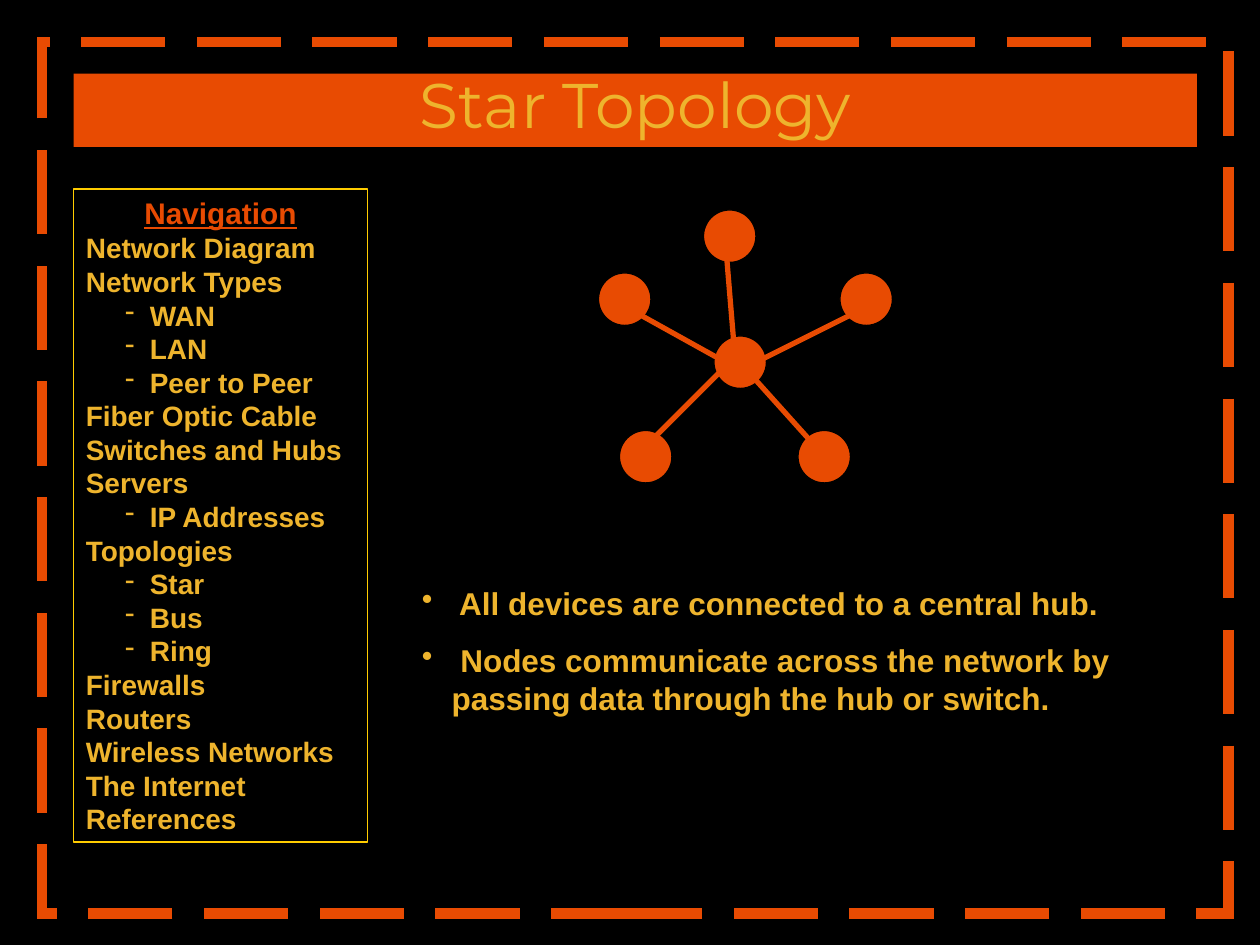
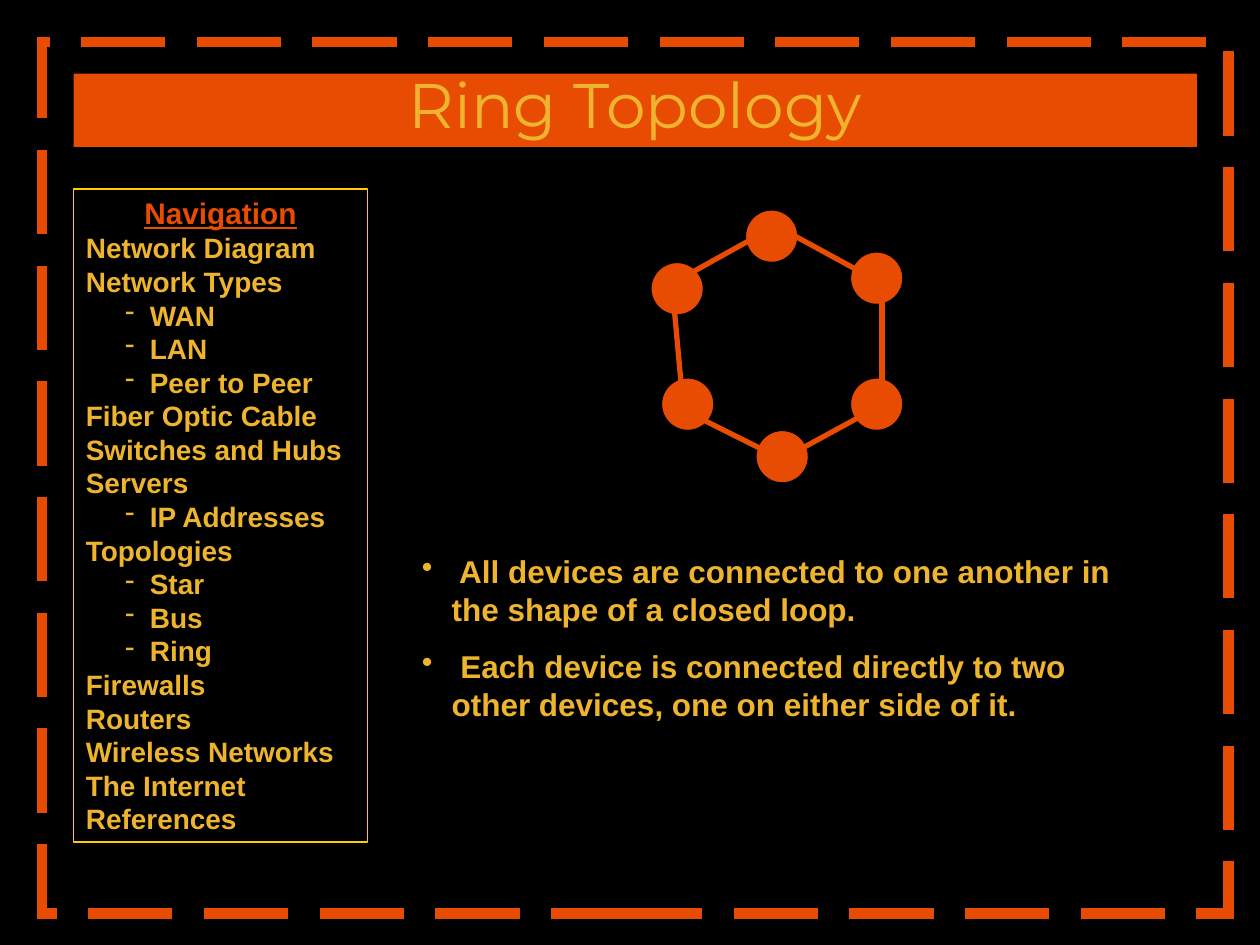
"""Build the star and ring topology slides."""
from lxml import etree
from pptx import Presentation
from pptx.dml.color import RGBColor
from pptx.enum.dml import MSO_LINE
from pptx.enum.shapes import MSO_CONNECTOR, MSO_SHAPE
from pptx.enum.text import MSO_ANCHOR, PP_ALIGN
from pptx.oxml.ns import qn
from pptx.util import Cm, Pt

RECT, OVAL = MSO_SHAPE.RECTANGLE, MSO_SHAPE.OVAL
LINE, DASH = MSO_CONNECTOR.STRAIGHT, MSO_LINE.LONG_DASH
LEFT, MID = PP_ALIGN.LEFT, PP_ALIGN.CENTER
TOP, CENTRE = MSO_ANCHOR.TOP, MSO_ANCHOR.MIDDLE

HUES = {"back": "000000", "main": "E84B02", "text": "EEB42D", "edge": "FFCC00"}

NAV = [
    ("Network Diagram", []),
    ("Network Types", ["WAN", "LAN", "Peer to Peer"]),
    ("Fiber Optic Cable", []),
    ("Switches and Hubs", []),
    ("Servers", ["IP Addresses"]),
    ("Topologies", ["Star", "Bus", "Ring"]),
    ("Firewalls", []),
    ("Routers", []),
    ("Wireless Networks", []),
    ("The Internet", []),
    ("References", []),
]

SLIDES = [
    {
        "title": "Star Topology",
        "notes": ["All devices are connected to a central hub.",
                  "Nodes communicate across the network by passing data "
                  "through the hub or switch."],
        "box": (39, 55, 71, 14),
        "nodes": [(67, 20), (76, 41), (59, 41), (57, 26), (80, 26), (68, 32)],
        "links": [(61, 30, 70, 35), (61, 43, 70, 34), (71, 35, 83, 29),
                  (70, 34, 69, 22), (70, 34, 79, 44)],
    },
    {
        "title": "Ring Topology",
        "notes": ["All devices are connected to one another in the shape "
                  "of a closed loop.",
                  "Each device is connected directly to two other devices, "
                  "one on either side of it."],
        "box": (39, 52, 71, 17.5),
        "nodes": [(62, 25), (81, 36), (63, 36), (72, 41), (81, 24), (71, 20)],
        "links": [(64, 27, 73, 22), (65, 38, 64, 27), (84, 37, 84, 28),
                  (65, 39, 73, 43), (84, 27, 73, 21), (74, 44, 85, 38)],
    },
]

GRID = 2.54 / 12
FRAME = (4, 4, 113, 83)
BAND = (7, 7, 107, 7)
MENU = (7, 18, 28, 62.2)
NODE = 5

FONTS = {
    "title": {"name": "Montserrat", "size": Pt(36), "bold": False},
    "head": {"name": "Arial", "size": Pt(17), "bold": True, "underline": True},
    "item": {"name": "Arial", "size": Pt(16), "bold": True},
    "note": {"name": "Arial", "size": Pt(18), "bold": True},
}


def place(*units):
    """Turn grid units into lengths."""
    return [Cm(n * GRID) for n in units]


def tint(hue):
    """Return a named colour."""
    return RGBColor.from_string(HUES[hue])


def ink(line, hue, width):
    """Colour a line and set its width."""
    line.color.rgb = tint(hue)
    line.width = Pt(width)


def draw(slide, kind, area, fill=None, edge="back", width=0.75):
    """Add a flat shape."""
    shape = slide.shapes.add_shape(kind, *place(*area))
    shape.shadow.inherit = False
    if fill:
        shape.fill.solid()
        shape.fill.fore_color.rgb = tint(fill)
    else:
        shape.fill.background()
    ink(shape.line, edge, width)
    return shape


def write(para, text, style, hue="text", mark=None, left=0, hang=0, **form):
    """Fill and format one paragraph, with a bullet if marked."""
    para.text = text
    if mark:
        props = para._p.get_or_add_pPr()
        props.set("marL", str(Cm(left)))
        props.set("indent", str(-Cm(hang)))
        etree.SubElement(props, qn("a:buChar")).set("char", mark)
    for key, value in form.items():
        setattr(para, key, value)
    for key, value in FONTS[style].items():
        setattr(para.font, key, value)
    para.font.color.rgb = tint(hue)


def add_frame(slide):
    """Draw the dashed border with square corners."""
    frame = draw(slide, RECT, FRAME, edge="main", width=6)
    frame.line.dash_style = DASH
    line = frame._element.spPr.find(qn("a:ln"))
    etree.SubElement(line, qn("a:miter")).set("lim", "800000")


def add_band(slide, text):
    """Set the title on its band."""
    band = slide.shapes.title
    band.left, band.top, band.width, band.height = place(*BAND)
    band.fill.solid()
    band.fill.fore_color.rgb = tint("main")
    band.text_frame.vertical_anchor = CENTRE
    write(band.text_frame.paragraphs[0], text, "title",
          alignment=MID, line_spacing=0.8)


def add_menu(slide):
    """Draw the navigation list."""
    frame = draw(slide, RECT, MENU, edge="edge").text_frame
    frame.word_wrap = True
    frame.vertical_anchor = TOP
    write(frame.paragraphs[0], "Navigation", "head", "main", alignment=MID)
    for name, subs in NAV:
        write(frame.add_paragraph(), name, "item", alignment=LEFT)
        for sub in subs:
            write(frame.add_paragraph(), sub, "item",
                  mark="-", left=1.29, hang=0.5, alignment=LEFT)


def add_net(slide, nodes, links):
    """Draw the nodes and the lines that join them."""
    for spot in nodes:
        draw(slide, OVAL, (*spot, NODE, NODE), fill="main")
    for ends in links:
        link = slide.shapes.add_connector(LINE, *place(*ends))
        ink(link.line, "main", 3)
        etree.SubElement(link._element.spPr, qn("a:effectLst"))


def add_notes(slide, box, notes):
    """Write the bullet points."""
    frame = slide.shapes.add_textbox(*place(*box)).text_frame
    frame.word_wrap = True
    for i, note in enumerate(notes):
        para = frame.add_paragraph() if i else frame.paragraphs[0]
        write(para, " " + note, "note", mark="•", left=0.6, hang=0.6,
              space_before=Pt(11.2 if i else 0))


def main():
    """Build and save the deck."""
    deck = Presentation()
    deck.slide_width, deck.slide_height = Cm(25.4), Cm(19.05)
    back = deck.slide_master.background.fill
    back.solid()
    back.fore_color.rgb = tint("back")
    for page in SLIDES:
        slide = deck.slides.add_slide(deck.slide_layouts[5])
        add_frame(slide)
        add_band(slide, page["title"])
        add_notes(slide, page["box"], page["notes"])
        add_net(slide, page["nodes"], page["links"])
        add_menu(slide)
    deck.save("out.pptx")


if __name__ == "__main__":
    main()
